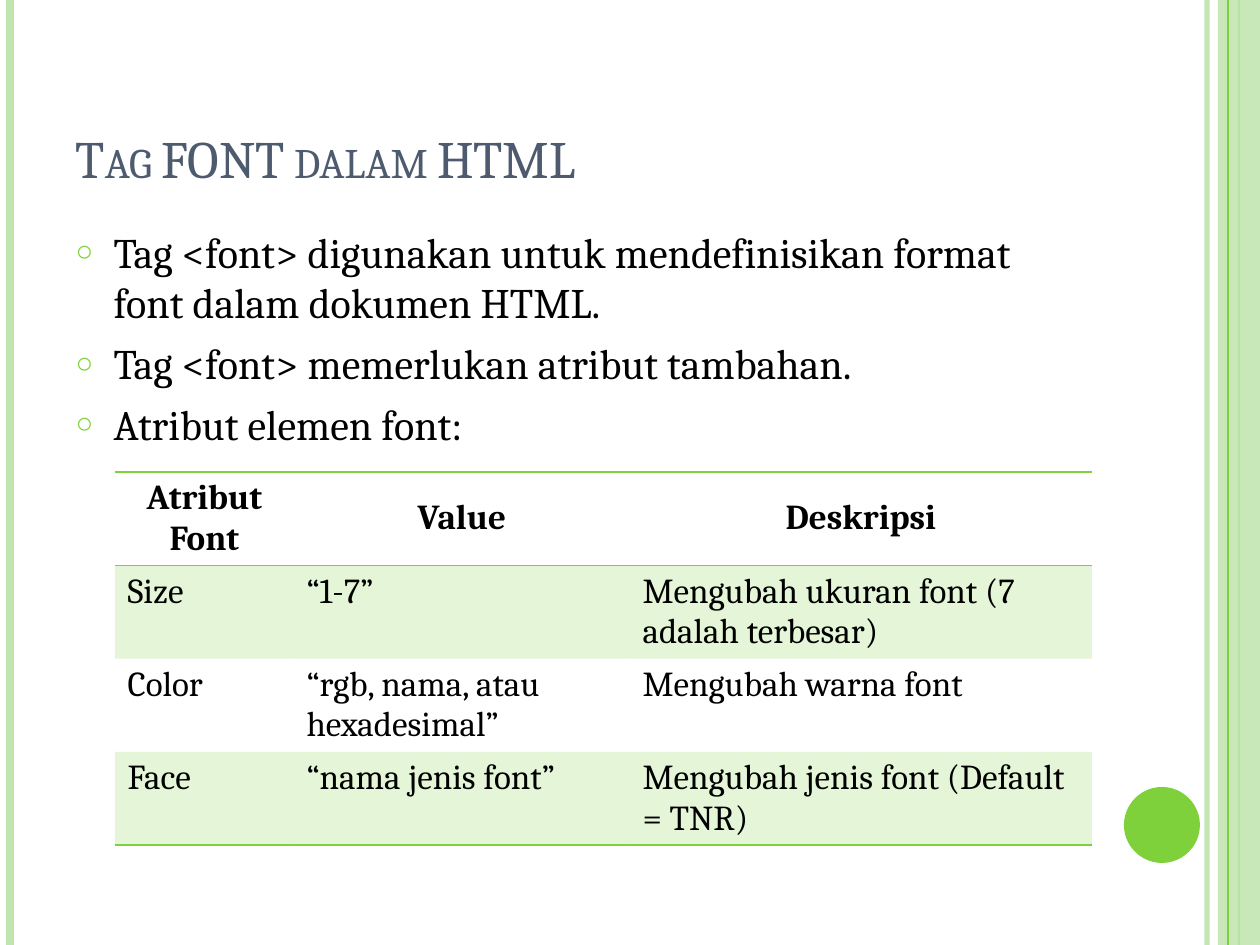
from lxml import etree
from pptx import Presentation
from pptx import util as u
from pptx.dml.color import RGBColor
from pptx.enum import shapes, text
from pptx.oxml import ns

GREEN = RGBColor(0x7F, 0xD1, 0x3B)
PALE = RGBColor(0xC0, 0xE5, 0xAF)
SLATE = RGBColor(0x4E, 0x5B, 0x6F)
BLACK = RGBColor(0, 0, 0)
FONT = "Cambria"
PLAIN_TABLE = "{2D5ABB26-0587-4C30-8999-92F81FD0307C}"
PAGE_WIDTH, PAGE_HEIGHT = 1260, 945


def px(value):
    return u.Emu(round(value * 914400 / 126))


def add_xml(parent, tag, **attributes):
    return etree.SubElement(parent, ns.qn(tag), attributes)


def set_alpha(fill_parent, percent):
    color = next(fill_parent.iter(ns.qn("a:srgbClr")))
    add_xml(color, "a:alpha", val=str(percent * 1000))


class SlideBuilder:
    def __init__(self, deck):
        self.page = deck.slides.add_slide(deck.slide_layouts[1])

    def style(self, span, size, color=BLACK, bold=False):
        values = {"name": FONT, "size": u.Pt(size), "bold": bold}
        for name, value in values.items():
            setattr(span.font, name, value)
        span.font.color.rgb = color

    def place(self, box, left, top, width, height):
        values = {"left": left, "top": top, "width": width, "height": height}
        for name, value in values.items():
            setattr(box, name, px(value))
        box.text_frame.word_wrap = True
        box.text_frame.auto_size = text.MSO_AUTO_SIZE.NONE

    def vertical_line(self, x, color, weight, alpha=None):
        line = self.page.shapes.add_connector(
            shapes.MSO_CONNECTOR.STRAIGHT, px(x), 0, px(x), px(PAGE_HEIGHT))
        line.line.color.rgb = color
        line.line.width = u.Pt(weight)
        properties = line._element.spPr
        if alpha:
            set_alpha(properties, alpha)
        add_xml(properties, "a:effectLst")

    def shape(self, kind, left, top, width, height, color, alpha=None):
        shape = self.page.shapes.add_shape(
            kind, px(left), px(top), px(width), px(height))
        shape.shadow.inherit = False
        shape.fill.solid()
        shape.fill.fore_color.rgb = color
        shape.line.fill.background()
        if alpha:
            set_alpha(shape._element.spPr, alpha)

    def title(self, words, *place):
        box = self.page.shapes.title
        self.place(box, *place)
        box.text_frame.vertical_anchor = text.MSO_ANCHOR.BOTTOM
        para = box.text_frame.paragraphs[0]
        para.alignment = text.PP_ALIGN.LEFT
        span = para.add_run()
        span.text = words
        self.style(span, 30, SLATE)
        span.font._element.set("cap", "small")

    def bullets(self, items, *place):
        box = self.page.placeholders[1]
        self.place(box, *place)
        frame = box.text_frame
        for index, words in enumerate(items):
            para = frame.add_paragraph() if index else frame.paragraphs[0]
            properties = para._p.get_or_add_pPr()
            indent = px(38)
            properties.set("marL", str(indent))
            properties.set("indent", str(-indent))
            add_xml(add_xml(properties, "a:buClr"), "a:srgbClr", val=str(GREEN))
            add_xml(properties, "a:buSzPct", val="70000")
            add_xml(properties, "a:buChar", char="○")
            para.space_before = u.Pt(6 if index else 0)
            span = para.add_run()
            span.text = words
            self.style(span, 24)

    def border(self, cell, side):
        line = add_xml(cell._tc.get_or_add_tcPr(), side, w=str(u.Pt(1)))
        add_xml(add_xml(line, "a:solidFill"), "a:srgbClr", val=str(GREEN))

    def table(self, rows, left, top, widths, row_height):
        frame = self.page.shapes.add_table(
            len(rows), len(widths), px(left), px(top),
            px(sum(widths)), px(row_height * len(rows)))
        table = frame.table
        table._tbl.tblPr.find(ns.qn("a:tableStyleId")).text = PLAIN_TABLE
        table.horz_banding = False
        for column, width in zip(table.columns, widths):
            column.width = px(width)
        for row_index, row in enumerate(rows):
            for column_index, words in enumerate(row):
                cell = table.cell(row_index, column_index)
                self.fill_cell(cell, words, row_index, len(rows) - 1)

    def fill_cell(self, cell, words, row_index, last_row):
        header = row_index == 0
        para = cell.text_frame.paragraphs[0]
        span = para.add_run()
        span.text = words
        self.style(span, 20, bold=header)
        if header:
            para.alignment = text.PP_ALIGN.CENTER
            cell.vertical_anchor = text.MSO_ANCHOR.MIDDLE
            self.border(cell, "a:lnT")
        if row_index in (0, last_row):
            self.border(cell, "a:lnB")
        if row_index % 2:
            cell.fill.solid()
            cell.fill.fore_color.rgb = GREEN
            set_alpha(cell._tc.tcPr.find(ns.qn("a:solidFill")), 20)
        else:
            cell.fill.background()


def main():
    deck = Presentation()
    deck.slide_width, deck.slide_height = px(PAGE_WIDTH), px(PAGE_HEIGHT)
    slide = SlideBuilder(deck)

    slide.vertical_line(1207, PALE, 3, alpha=93)
    slide.vertical_line(10, PALE, 4.5)
    slide.vertical_line(1239, GREEN, 1.5)
    slide.shape(shapes.MSO_SHAPE.RECTANGLE, 1218, 0, 42, PAGE_HEIGHT, PALE, alpha=87)
    slide.vertical_line(1228, GREEN, 0.75)
    slide.shape(shapes.MSO_SHAPE.OVAL, 1124, 787, 76, 76, GREEN)

    slide.title("Tag FONT dalam HTML", 63, 38, 1029, 157)
    slide.bullets([
        "Tag <font> digunakan untuk mendefinisikan format font dalam dokumen HTML.",
        "Tag <font> memerlukan atribut tambahan.",
        "Atribut elemen font:",
    ], 63, 220, 1029, 672)
    slide.table([
        ("Atribut Font", "Value", "Deskripsi"),
        ("Size", "“1-7”", "Mengubah ukuran font (7 adalah terbesar)"),
        ("Color", "“rgb, nama, atau hexadesimal”", "Mengubah warna font"),
        ("Face", "“nama jenis font”", "Mengubah jenis font (Default = TNR)"),
    ], 115, 472, (179, 336, 462), 79)

    deck.save("out.pptx")


if __name__ == "__main__":
    main()
